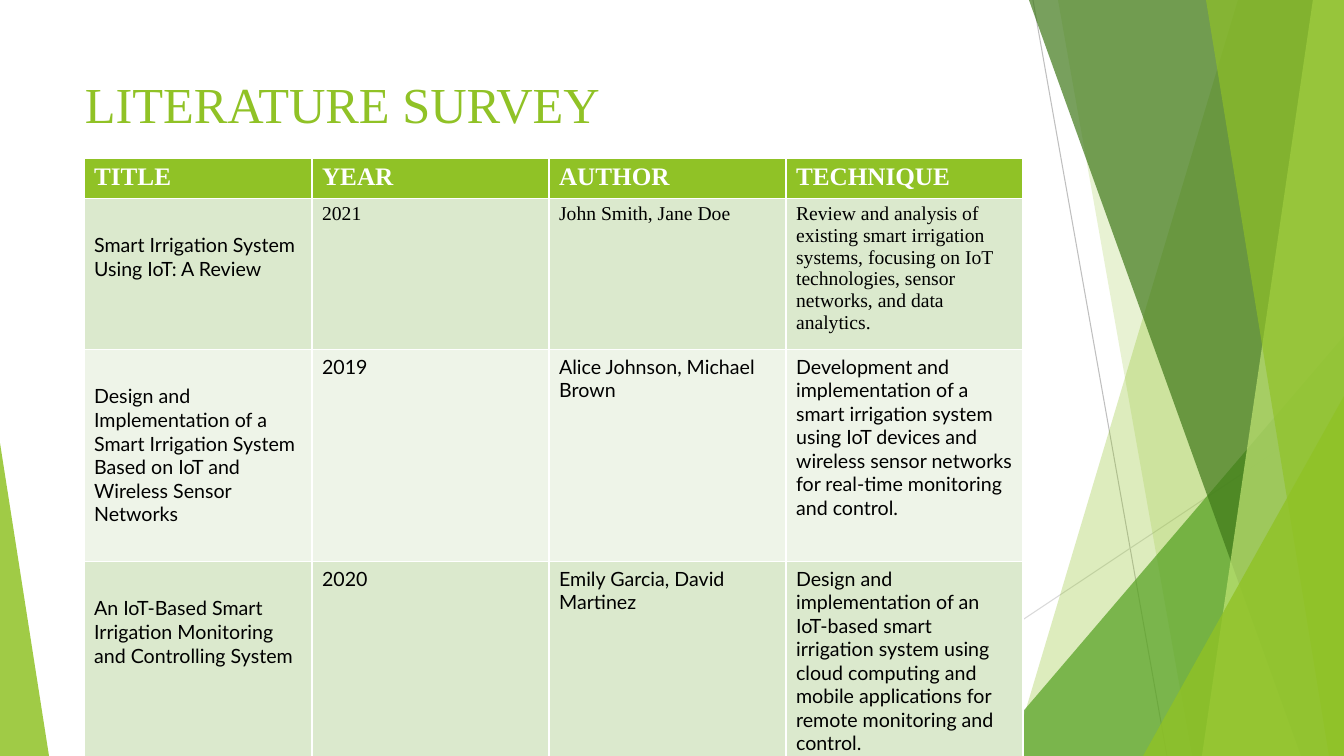
import pptx
import pptx.util
import pptx.dml.color
import pptx.enum.shapes
import pptx.enum.text
import pptx.oxml.ns
import lxml.etree

PX = 914400 / 100.8
WIDTH, HEIGHT = 1344, 756
SERIF, SANS = "Times New Roman", "Lato"
COLORS = {
    "lime": "90C226", "green": "54A021", "forest": "3F7819", "pale": "C0E474",
    "line": "BFBFBF", "light line": "D9D9D9", "white": "FFFFFF", "black": "000000",
    "odd row": "DBE9CD", "even row": "EEF4E8",
}
HEADINGS = ["TITLE", "YEAR", "AUTHOR", "TECHNIQUE"]
PAPERS = [
    ("Smart Irrigation System Using IoT: A Review", "2021", "John Smith, Jane Doe",
     "Review and analysis of existing smart irrigation systems, focusing on IoT "
     "technologies, sensor networks, and data analytics."),
    ("Design and Implementation of a Smart Irrigation System Based on IoT and "
     "Wireless Sensor Networks", "2019", "Alice Johnson, Michael Brown",
     "Development and implementation of a smart irrigation system using IoT devices "
     "and wireless sensor networks for real-time monitoring and control."),
    ("An IoT-Based Smart Irrigation Monitoring and Controlling System", "2020",
     "Emily Garcia, David Martinez",
     "Design and implementation of an IoT-based smart irrigation system using cloud "
     "computing and mobile applications for remote monitoring and control."),
]
COLUMN_WIDTHS = [228, 237, 237, 237]
ROW_HEIGHTS = [38, 139, 212, 198]


def px(n):
    return pptx.util.Emu(round(n * PX))


def rgb(name):
    return pptx.dml.color.RGBColor.from_string(COLORS[name])


def paint(s, color, opacity):
    """Fill a facet with a see-through colour, without outline or shadow."""
    s.shadow.inherit = False
    s.line.fill.background()
    s.fill.solid()
    s.fill.fore_color.rgb = rgb(color)
    srgb = s.fill._xPr.find(".//" + pptx.oxml.ns.qn("a:srgbClr"))
    alpha = lxml.etree.SubElement(srgb, pptx.oxml.ns.qn("a:alpha"))
    alpha.set("val", str(opacity * 1000))


def add_line(shapes, x1, y1, x2, y2, color):
    s = shapes.add_connector(pptx.enum.shapes.MSO_CONNECTOR.STRAIGHT,
                             px(x1), px(y1), px(x2), px(y2))
    s.line.color.rgb = rgb(color)
    s.line.width = pptx.util.Pt(0.75)
    lxml.etree.SubElement(s._element.spPr, pptx.oxml.ns.qn("a:effectLst"))


def add_band(shapes, box, top_x, bottom_x, color, opacity):
    """Add a facet from a slanted left edge to the right side of the box."""
    left, top, width, height = box
    right, bottom = left + width, top + height
    builder = shapes.build_freeform(left + top_x, top, scale=PX)
    builder.add_line_segments([(right, top), (right, bottom), (left + bottom_x, bottom)])
    paint(builder.convert_to_shape(), color, opacity)


def add_corner(shapes, box, width, height, apex, color, opacity):
    """Add a right triangle in a bottom corner; apex 0 is left, 1 is right."""
    left, top, box_width, box_height = box
    s = shapes.add_shape(pptx.enum.shapes.MSO_SHAPE.ISOSCELES_TRIANGLE,
                         px(left + apex * (box_width - width)),
                         px(top + box_height - height), px(width), px(height))
    s.adjustments[0] = apex
    paint(s, color, opacity)


def add_backdrop(shapes, box):
    left, top, width, height = box
    right, bottom = left + width, top + height
    add_line(shapes, left + 1033, top, left + 1167, bottom, "line")
    add_line(shapes, right, top + 406, left + 818, bottom, "light line")
    add_band(shapes, box, 1238, 1012, "lime", 30)
    add_band(shapes, box, 1058, 1192, "lime", 20)
    add_corner(shapes, box, 359, 420, 1, "green", 72)
    add_band(shapes, box, 1029, 1301, "forest", 70)
    add_band(shapes, box, 1313, 1202, "pale", 70)
    add_band(shapes, box, 1206, 1329, "lime", 65)
    add_corner(shapes, box, 201, 360, 1, "lime", 80)
    add_corner(shapes, box, 49, 313, 0, "lime", 85)


def set_font(p, size, name, color, bold=False):
    p.font.size = pptx.util.Pt(size)
    p.font.name = name
    p.font.bold = bold
    p.font.color.rgb = rgb(color)


def add_title(shapes, box, text):
    tf = shapes.add_textbox(*map(px, box)).text_frame
    tf.word_wrap = True
    tf.vertical_anchor = pptx.enum.text.MSO_ANCHOR.TOP
    tf.text = text
    set_font(tf.paragraphs[0], 36, SERIF, "lime")


def fill_cell(cell, text, fill, *font):
    cell.text = text
    cell.fill.solid()
    cell.fill.fore_color.rgb = rgb(fill)
    set_font(cell.text_frame.paragraphs[0], *font)


def add_survey(shapes, box):
    table = shapes.add_table(len(PAPERS) + 1, len(HEADINGS), *map(px, box)).table
    for column, width in zip(table.columns, COLUMN_WIDTHS):
        column.width = px(width)
    for row, height in zip(table.rows, ROW_HEIGHTS):
        row.height = px(height)
    for c, heading in enumerate(HEADINGS):
        fill_cell(table.cell(0, c), heading, "lime", 18, SERIF, "white", True)
    for r, paper in enumerate(PAPERS, 1):
        for c, text in enumerate(paper):
            name = SERIF if r == 1 and c > 0 else SANS
            fill = "odd row" if r % 2 else "even row"
            fill_cell(table.cell(r, c), text, fill, 14, name, "black")
        table.cell(r, 0).margin_top = px(35)


def main():
    prs = pptx.Presentation()
    prs.slide_width, prs.slide_height = px(WIDTH), px(HEIGHT)
    shapes = prs.slides.add_slide(prs.slide_layouts[6]).shapes
    add_backdrop(shapes, (0, 0, WIDTH, HEIGHT))
    add_title(shapes, (75, 68, 948, 145), "LITERATURE SURVEY")
    add_survey(shapes, (84, 158, sum(COLUMN_WIDTHS), sum(ROW_HEIGHTS)))
    prs.save("out.pptx")


if __name__ == "__main__":
    main()
